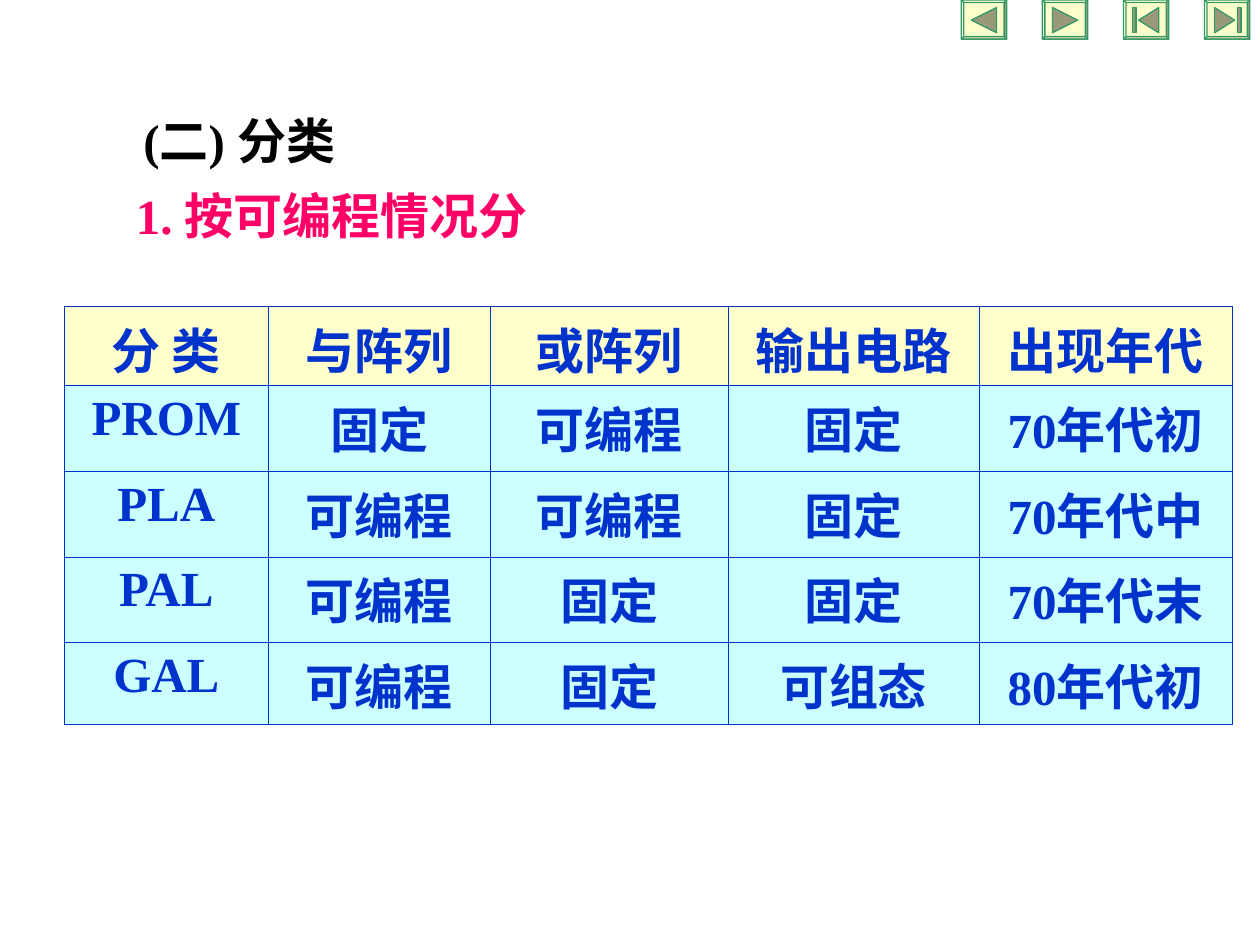
from copy import deepcopy

from lxml import etree
from pptx import Presentation
from pptx import util as u
from pptx.dml.color import RGBColor
from pptx.enum import text
from pptx.oxml.ns import qn

COLORS = {
    "black": "000000", "pink": "FF0066", "blue": "0033CC",
    "cream": "FFFFCC", "cyan": "CCFFFF", "green": "339966",
}
FONT = "Times New Roman"

HEADINGS = [
    ("(二) 分类", "black", (1.04, 0.83, 3.18, 0.57)),
    ("1. 按可编程情况分", "pink", (0.98, 1.42, 4.43, 0.57)),
]
ROWS = [
    ("分 类", "与阵列", "或阵列", "输出电路", "出现年代"),
    ("PROM", "固定", "可编程", "固定", "70年代初"),
    ("PLA", "可编程", "可编程", "固定", "70年代中"),
    ("PAL", "可编程", "固定", "固定", "70年代末"),
    ("GAL", "可编程", "固定", "可组态", "80年代初"),
]
COLUMN_WIDTHS = (1.62, 1.76, 1.89, 1.99, 2.01)
ROW_HEIGHTS = (0.63, 0.68, 0.68, 0.68, 0.65)

# Icons that point left; the right-pointing ones are mirrored
BUTTON_WIDTH, BUTTON_HEIGHT, BEVEL = 0.36, 0.31, 0.02
BACK_ICON = [[(0.08, 0.16), (0.28, 0.06), (0.28, 0.26)]]
FIRST_ICON = [
    [(0.12, 0.16), (0.28, 0.06), (0.28, 0.26)],
    [(0.07, 0.06), (0.1, 0.06), (0.1, 0.26), (0.07, 0.26)],
]


def rgb(name):
    return RGBColor.from_string(COLORS[name])


def style_paragraph(para, color):
    para.font.name = FONT
    para.font.size = u.Pt(28)
    para.font.bold = True
    para.font.color.rgb = rgb(color)


def add_heading(page, words, color, box):
    frame = page.shapes.add_textbox(*map(u.Inches, box)).text_frame
    frame.word_wrap = True
    frame.auto_size = text.MSO_AUTO_SIZE.SHAPE_TO_FIT_TEXT
    para = frame.paragraphs[0]
    para.text = words
    style_paragraph(para, color)


def add_cell_borders(cell, color, points):
    properties = cell._tc.get_or_add_tcPr()
    for side in ("a:lnL", "a:lnR", "a:lnT", "a:lnB"):
        line = etree.SubElement(properties, qn(side), w=str(u.Pt(points)))
        fill = etree.SubElement(line, qn("a:solidFill"))
        etree.SubElement(fill, qn("a:srgbClr"), val=COLORS[color])


def add_class_table(page, box):
    table = page.shapes.add_table(
        len(ROWS), len(COLUMN_WIDTHS), *map(u.Inches, box)).table
    table.first_row = table.horz_banding = False
    for column, width in zip(table.columns, COLUMN_WIDTHS):
        column.width = u.Inches(width)
    for index, (row, height) in enumerate(zip(table.rows, ROW_HEIGHTS)):
        row.height = u.Inches(height)
        for cell, words in zip(row.cells, ROWS[index]):
            add_cell_borders(cell, "blue", 0.45)
            cell.fill.solid()
            cell.fill.fore_color.rgb = rgb("cyan" if index else "cream")
            para = cell.text_frame.paragraphs[0]
            para.text = words
            para.alignment = text.PP_ALIGN.CENTER
            style_paragraph(para, "blue")


def split_contours(shape, shades):
    """Give each contour its own path, so that each has its own shade."""
    whole = shape._element.find(".//" + qn("a:path"))
    steps = list(whole)
    for step in steps:
        whole.remove(step)
    paths = whole.getparent()
    paths.remove(whole)
    for step in steps:
        if step.tag == qn("a:moveTo"):
            contour = deepcopy(whole)
            contour.set("fill", shades[len(paths)])
            paths.append(contour)
        contour.append(step)


def add_button(page, icon, mirrored, box):
    left, top, width, height = box
    outer = [(0, 0), (width, 0), (width, height), (0, height)]
    inner = [(BEVEL, BEVEL), (width - BEVEL, BEVEL),
             (width - BEVEL, height - BEVEL), (BEVEL, height - BEVEL)]
    # Face, then bevels from the top clockwise, then the icon
    contours = [outer]
    for side in range(4):
        following = (side + 1) % 4
        contours.append([outer[side], outer[following],
                         inner[following], inner[side]])
    for outline in icon:
        contours.append([(width - x if mirrored else x, y)
                         for x, y in outline])
    shades = ["norm", "lightenLess", "darken", "darkenLess", "lighten"]
    shades += ["darken"] * len(icon)

    builder = page.shapes.build_freeform(0, 0)
    for number, contour in enumerate(contours):
        points = [(u.Inches(x), u.Inches(y)) for x, y in contour]
        if number or points[0] != (0, 0):
            builder.move_to(*points[0])
        builder.add_line_segments(points[1:], close=True)
    shape = builder.convert_to_shape(u.Inches(left), u.Inches(top))
    split_contours(shape, shades)
    shape.shadow.inherit = False
    shape.fill.solid()
    shape.fill.fore_color.rgb = rgb("cream")
    shape.line.color.rgb = rgb("green")
    shape.line.width = u.Pt(0.75)


def add_navigation(page, box):
    left, top, width, height = box
    buttons = [(BACK_ICON, False), (BACK_ICON, True),
               (FIRST_ICON, False), (FIRST_ICON, True)]
    pitch = (width - BUTTON_WIDTH) / (len(buttons) - 1)
    for index, (icon, mirrored) in enumerate(buttons):
        add_button(page, icon, mirrored,
                   (left + index * pitch, top, BUTTON_WIDTH, height))


def main():
    deck = Presentation()
    deck.slide_width, deck.slide_height = u.Inches(10), u.Inches(7.5)
    page = deck.slides.add_slide(deck.slide_layouts[6])
    for words, color, box in HEADINGS:
        add_heading(page, words, color, box)
    add_class_table(page, (0.51, 2.43, sum(COLUMN_WIDTHS), sum(ROW_HEIGHTS)))
    add_navigation(page, (7.63, 0, 2.29, BUTTON_HEIGHT))
    deck.save("out.pptx")


if __name__ == "__main__":
    main()
